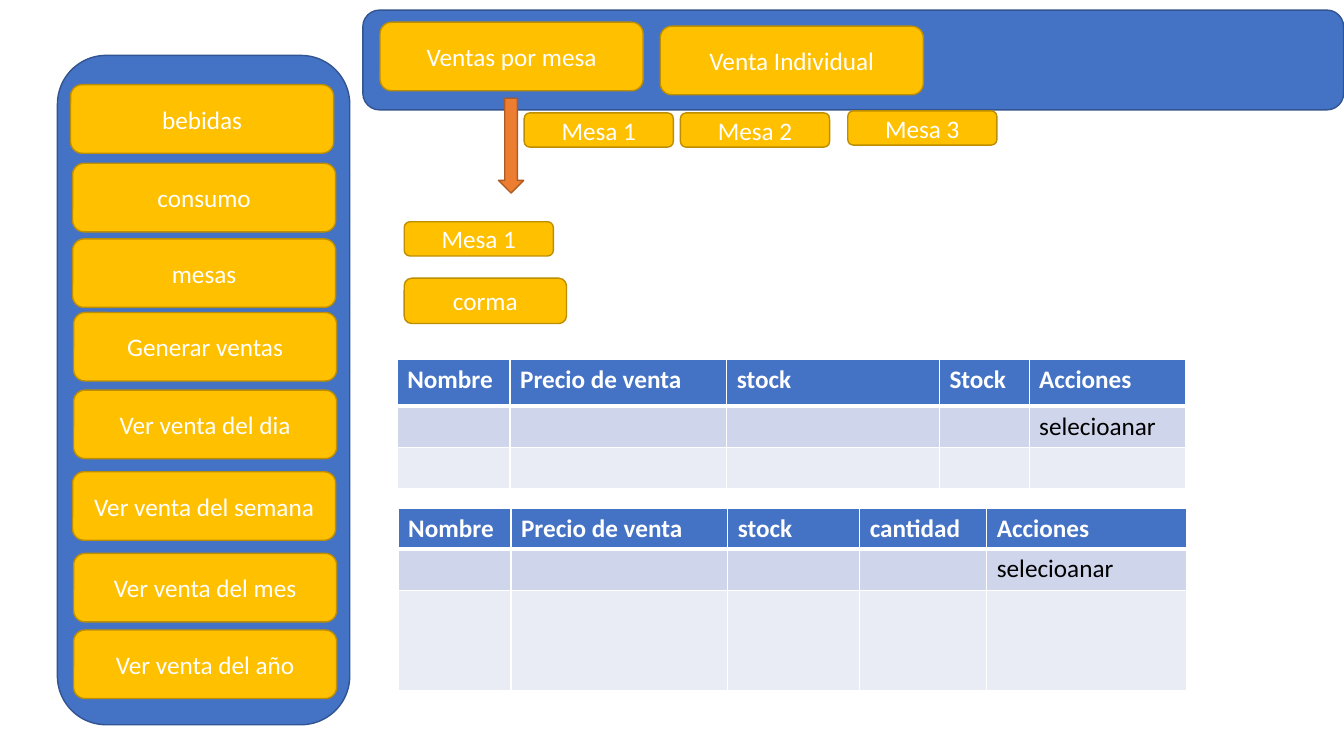
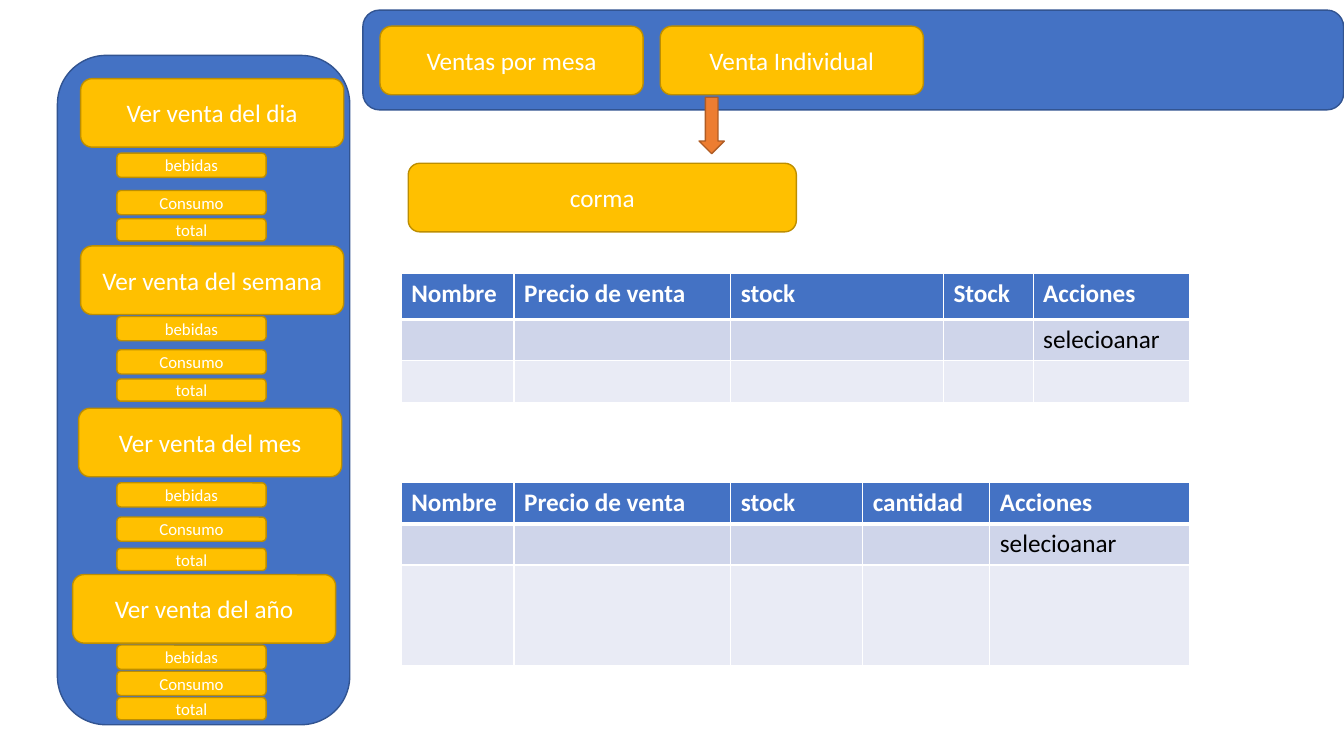
from dataclasses import dataclass

from lxml import etree
from pptx import Presentation
from pptx.dml.color import RGBColor
from pptx.enum.shapes import MSO_SHAPE
from pptx.enum.text import MSO_ANCHOR, PP_ALIGN
from pptx.oxml.ns import qn
from pptx.util import Inches, Pt

ROUNDED = MSO_SHAPE.ROUNDED_RECTANGLE
DOWN_ARROW = MSO_SHAPE.DOWN_ARROW
MIDDLE = MSO_ANCHOR.MIDDLE
CENTER = PP_ALIGN.CENTER
BLANK_LAYOUT = 6


@dataclass(frozen=True)
class Theme:
    """Colours, type and line sizes shared by all pages."""
    panel: str = "4472C4"
    panel_line: str = "325491"
    button: str = "FFC000"
    button_line: str = "BD8E00"
    arrow: str = "ED7D31"
    arrow_line: str = "AF5C24"
    band_dark: str = "CFD5EA"
    band_light: str = "E9EBF5"
    white: str = "FFFFFF"
    black: str = "000000"
    font: str = "Calibri"
    size: int = 18
    detail_size: int = 12
    line: int = 1
    header_line: int = 3


THEME = Theme()

# The grid has square cells, ten to the inch; sizes are (columns, rows).
CELLS_PER_INCH = 10
PAGE = (133.33, 75)
MENU_BUTTON = (26.1, 6.8)
TABLE_BUTTON = (14.8, 3.4)
DETAIL_BUTTON = (14.8, 2.4)
TOTAL_BUTTON = (14.8, 2.2)
DETAIL_LEFT = 11.6
ARROW_WIDTH = 2.5

STOCK_HEADS = ["Nombre", "Precio de venta", "stock", "Stock", "Acciones"]
STOCK_COLUMNS = [11.2, 21.5, 21.1, 8.9, 15.5]
STOCK_ROWS = [4.6, 4.1, 4.1]
ORDER_HEADS = ["Nombre", "Precio de venta", "stock", "cantidad", "Acciones"]
ORDER_COLUMNS = [11.2, 21.5, 13.1, 12.6, 19.8]
ORDER_ROWS = [4, 4.1, 10]
ACTION = "selecioanar"

MENU = [
    ("bebidas", 7, 8.4),
    ("consumo", 7.2, 16.2),
    ("mesas", 7.2, 23.7),
    ("Generar ventas", 7.3, 31),
    ("Ver venta del dia", 7.3, 38.7),
    ("Ver venta del semana", 7.2, 46.8),
    ("Ver venta del mes", 7.3, 54.9),
    ("Ver venta del año", 7.3, 62.5),
]
# Label, left and top of each report, then the tops of its three details.
REPORTS = [
    ("Ver venta del dia", 8, 7.8, (15.2, 18.9, 21.7)),
    ("Ver venta del semana", 8, 24.4, (31.4, 34.7, 37.6)),
    ("Ver venta del mes", 7.8, 40.5, (47.9, 51.3, 54.4)),
    ("Ver venta del año", 7.2, 57, (64, 66.6, 69.2)),
]
DETAILS = [("bebidas", DETAIL_BUTTON), ("Consumo", DETAIL_BUTTON),
           ("total", TOTAL_BUTTON)]


def cells(count):
    """Turn a number of grid cells into a length."""
    return Inches(count / CELLS_PER_INCH)


def rgb(code):
    """Turn a hexadecimal code into a colour."""
    return RGBColor.from_string(code)


def style_font(font, color, bold=False, size=THEME.size):
    """Apply the common typeface with the given colour, weight and size."""
    font.name = THEME.font
    font.size = Pt(size)
    font.bold = bold
    font.color.rgb = rgb(color)


def add_box(page, kind, place, size, fill, line):
    """Add a flat, outlined preset shape at a grid place."""
    box = page.shapes.add_shape(kind, *map(cells, (*place, *size)))
    box.shadow.inherit = False
    box.fill.solid()
    box.fill.fore_color.rgb = rgb(fill)
    box.line.color.rgb = rgb(line)
    box.line.width = Pt(THEME.line)
    return box


def add_panel(page, place, size):
    """Add a blue panel that holds buttons."""
    return add_box(page, ROUNDED, place, size, THEME.panel, THEME.panel_line)


def add_button(page, label, place, size=MENU_BUTTON, text_size=THEME.size):
    """Add a yellow button with a centred label."""
    box = add_box(page, ROUNDED, place, size, THEME.button, THEME.button_line)
    frame = box.text_frame
    frame.vertical_anchor = MIDDLE
    frame.margin_top = frame.margin_bottom = 0
    para = frame.paragraphs[0]
    para.text = label
    para.alignment = CENTER
    style_font(para.font, THEME.white, size=text_size)


def add_arrow(page, place, length):
    """Add an orange arrow that points down."""
    add_box(page, DOWN_ARROW, place, (ARROW_WIDTH, length),
            THEME.arrow, THEME.arrow_line)


def set_borders(cell, top, bottom):
    """Draw white borders around a cell, with own top and bottom widths."""
    properties = cell._tc.get_or_add_tcPr()
    widths = {"a:lnL": THEME.line, "a:lnR": THEME.line,
              "a:lnT": top, "a:lnB": bottom}
    for tag, width in widths.items():
        border = etree.SubElement(properties, qn(tag), w=str(Pt(width)))
        fill = etree.SubElement(border, qn("a:solidFill"))
        etree.SubElement(fill, qn("a:srgbClr"), val=THEME.white)


def fill_cell(cell, text, row):
    """Write and format one cell according to its row."""
    fill = (THEME.panel, THEME.band_dark, THEME.band_light)[row]
    set_borders(cell,
                top=THEME.header_line if row == 1 else THEME.line,
                bottom=THEME.header_line if row == 0 else THEME.line)
    cell.fill.solid()
    cell.fill.fore_color.rgb = rgb(fill)
    para = cell.text_frame.paragraphs[0]
    para.text = text
    style_font(para.font, THEME.white if row == 0 else THEME.black, row == 0)


def add_grid(page, place, heads, columns, rows):
    """Add a table with a header, an action row and an empty row."""
    size = (sum(columns), sum(rows))
    frame = page.shapes.add_table(len(rows), len(columns),
                                  *map(cells, (*place, *size)))
    table = frame.table
    for column, width in zip(table.columns, columns):
        column.width = cells(width)
    for row, height in zip(table.rows, rows):
        row.height = cells(height)
    blanks = [""] * len(heads)
    contents = [heads, blanks[:-1] + [ACTION], blanks]
    for row, texts in enumerate(contents):
        for column, text in enumerate(texts):
            fill_cell(table.cell(row, column), text, row)


def add_page(deck, first_tab_top):
    """Add a page with the side panel, the top panel and its two tabs."""
    page = deck.slides.add_slide(deck.slide_layouts[BLANK_LAYOUT])
    add_panel(page, (5.7, 5.5), (29, 66.4))
    add_panel(page, (36, 1), (97.3, 9.9))
    add_button(page, "Ventas por mesa", (37.7, first_tab_top))
    add_button(page, "Venta Individual", (65.5, 2.6))
    return page


def add_tables(page, stock_place, order_place):
    """Add the stock table and the order table."""
    add_grid(page, stock_place, STOCK_HEADS, STOCK_COLUMNS, STOCK_ROWS)
    add_grid(page, order_place, ORDER_HEADS, ORDER_COLUMNS, ORDER_ROWS)


def build_table_sales(deck):
    """Build the page for sales by table."""
    page = add_page(deck, first_tab_top=2.2)
    for label, left, top in MENU:
        add_button(page, label, (left, top))
    add_arrow(page, (49.45, 9.75), 9.4)
    for label, left, top in [("Mesa 1", 52, 11.2), ("Mesa 2", 67.5, 11.2),
                             ("Mesa 3", 84.1, 11), ("Mesa 1", 40.1, 22)]:
        add_button(page, label, (left, top), TABLE_BUTTON)
    add_button(page, "corma", (40.1, 27.6), (16.1, 4.5))
    add_tables(page, (39.4, 35.7), (39.5, 50.4))


def build_single_sale(deck):
    """Build the page for a single sale with the sales reports."""
    page = add_page(deck, first_tab_top=2.6)
    for label, left, top, detail_tops in REPORTS:
        add_button(page, label, (left, top))
        for (detail, size), detail_top in zip(DETAILS, detail_tops):
            add_button(page, detail, (DETAIL_LEFT, detail_top), size,
                       THEME.detail_size)
    add_arrow(page, (69.35, 9.65), 5.6)
    add_button(page, "corma", (40.5, 16.2), (38.5, 6.8))
    add_tables(page, (39.8, 27.1), (39.8, 47.9))


def main():
    """Build and save the deck."""
    deck = Presentation()
    deck.slide_width, deck.slide_height = map(cells, PAGE)
    build_table_sales(deck)
    build_single_sale(deck)
    deck.save("out.pptx")


main()
